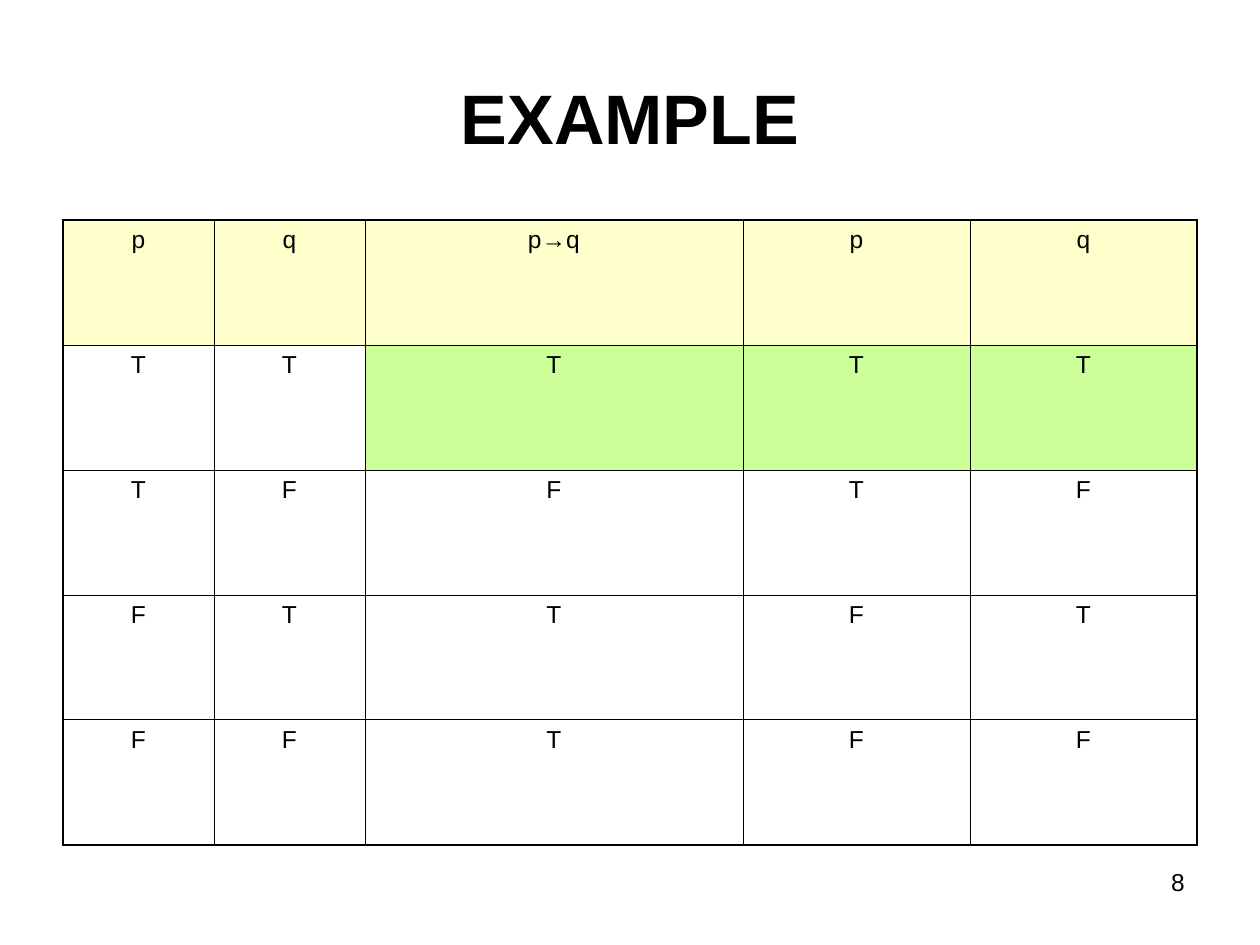
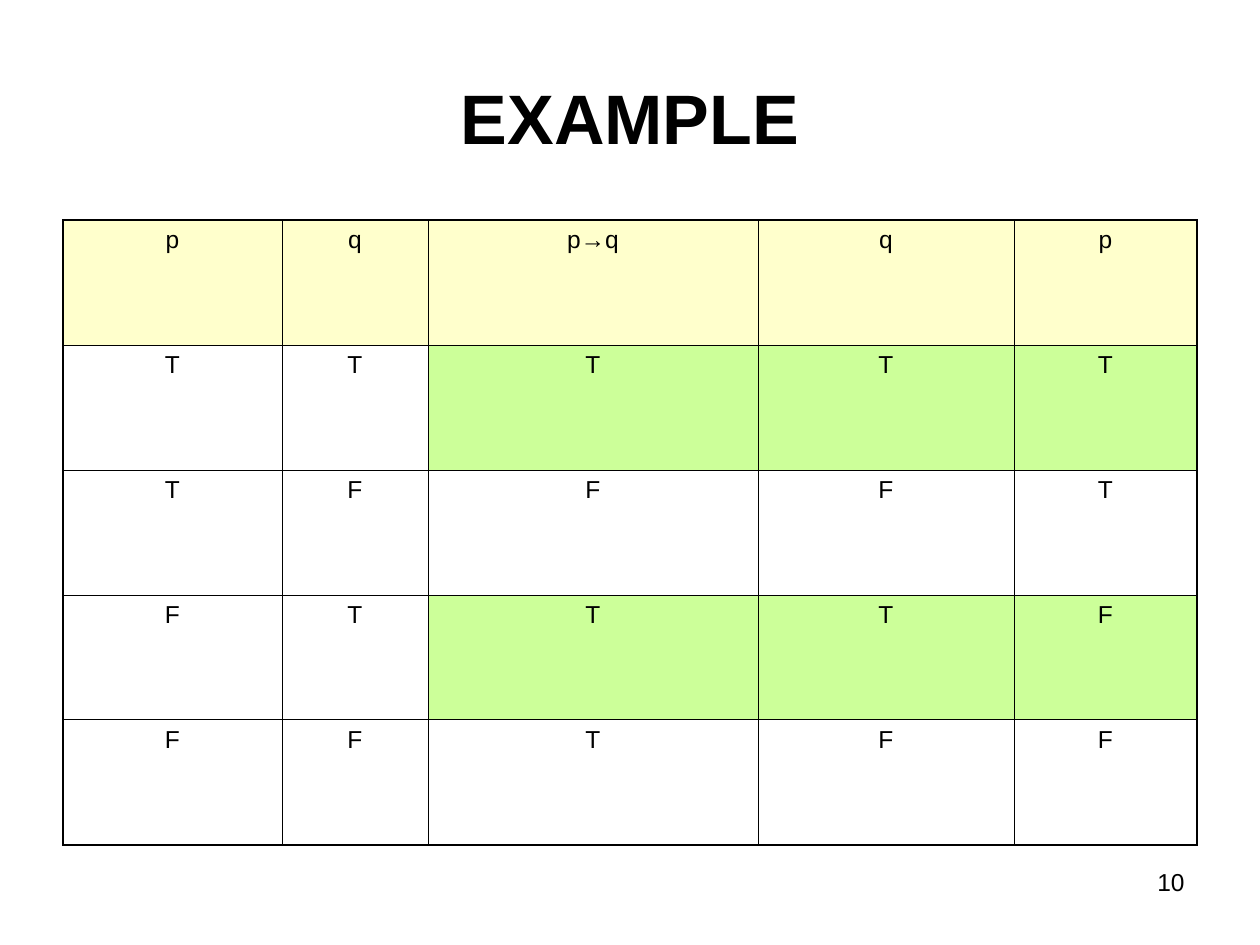
from lxml import etree
from pptx import Presentation
from pptx.dml.color import RGBColor
from pptx.enum.text import MSO_ANCHOR, PP_ALIGN
from pptx.oxml.ns import qn
from pptx.util import Pt

CENTER, RIGHT = PP_ALIGN.CENTER, PP_ALIGN.RIGHT
TOP, MIDDLE = MSO_ANCHOR.TOP, MSO_ANCHOR.MIDDLE

PX = 914400 / 126
FONT = "Arial"
COLORS = {"ink": "000000", "head": "FFFFCC", "mark": "CCFF99"}
THIN, THICK = 0.45, 1.08
LEFT, UPPER, ROW = 63, 220, 125

TABLES = [
    {
        "page": "8",
        "widths": [151, 151, 378, 227, 227],
        "rows": ["p q p→q p q", "T T T T T", "T F F T F", "F T T F T", "F F T F F"],
        "marked": [1],
    },
    {
        "page": "10",
        "widths": [219, 146, 330, 256, 183],
        "rows": ["p q p→q q p", "T T T T T", "T F F F T", "F T T T F", "F F T F F"],
        "marked": [1, 3],
    },
]


def emu(px):
    return round(px * PX)


def write(frame, text, size=14, bold=False, align=CENTER):
    para = frame.paragraphs[0]
    para.alignment = align
    run = para.add_run()
    run.text = text
    font = run.font
    font.name, font.size, font.bold = FONT, Pt(size), bold
    font.color.rgb = RGBColor.from_string(COLORS["ink"])


def add_text(slide, text, box, anchor=TOP, **style):
    frame = slide.shapes.add_textbox(*map(emu, box)).text_frame
    frame.word_wrap = True
    frame.vertical_anchor = anchor
    write(frame, text, **style)


def add_edge(cell, side, width):
    """Draw one border of a cell; side is L, R, T or B."""
    props = cell._tc.get_or_add_tcPr()
    line = etree.SubElement(props, qn(f"a:ln{side}"), w=str(Pt(width)))
    fill = etree.SubElement(line, qn("a:solidFill"))
    etree.SubElement(fill, qn("a:srgbClr"), val=COLORS["ink"])


def paint(cell, color):
    if color:
        cell.fill.solid()
        cell.fill.fore_color.rgb = RGBColor.from_string(COLORS[color])
    else:
        cell.fill.background()


def add_truth(slide, widths, rows, marked):
    """Add a truth table whose marked rows are tinted from the third column on."""
    high, wide = len(rows), len(widths)
    box = (LEFT, UPPER, sum(widths), high * ROW)
    table = slide.shapes.add_table(high, wide, *map(emu, box)).table
    table.first_row = table.horz_banding = False
    for col, width in zip(table.columns, widths):
        col.width = emu(width)
    for r, row in enumerate(rows):
        table.rows[r].height = emu(ROW)
        for c, text in enumerate(row.split()):
            cell = table.cell(r, c)
            write(cell.text_frame, text)
            outer = {"L": c == 0, "R": c == wide - 1, "T": r == 0, "B": r == high - 1}
            for side, rim in outer.items():
                add_edge(cell, side, THICK if rim else THIN)
            tint = "mark" if r in marked and c >= 2 else None
            paint(cell, "head" if r == 0 else tint)


def main():
    deck = Presentation()
    deck.slide_width, deck.slide_height = emu(1260), emu(945)
    for item in TABLES:
        slide = deck.slides.add_slide(deck.slide_layouts[6])
        add_text(slide, item["page"], (903, 861, 294, 66), align=RIGHT)
        add_text(slide, "EXAMPLE", (63, 38, 1134, 158), anchor=MIDDLE, size=40, bold=True)
        add_truth(slide, item["widths"], item["rows"], item["marked"])
    deck.save("out.pptx")


if __name__ == "__main__":
    main()
